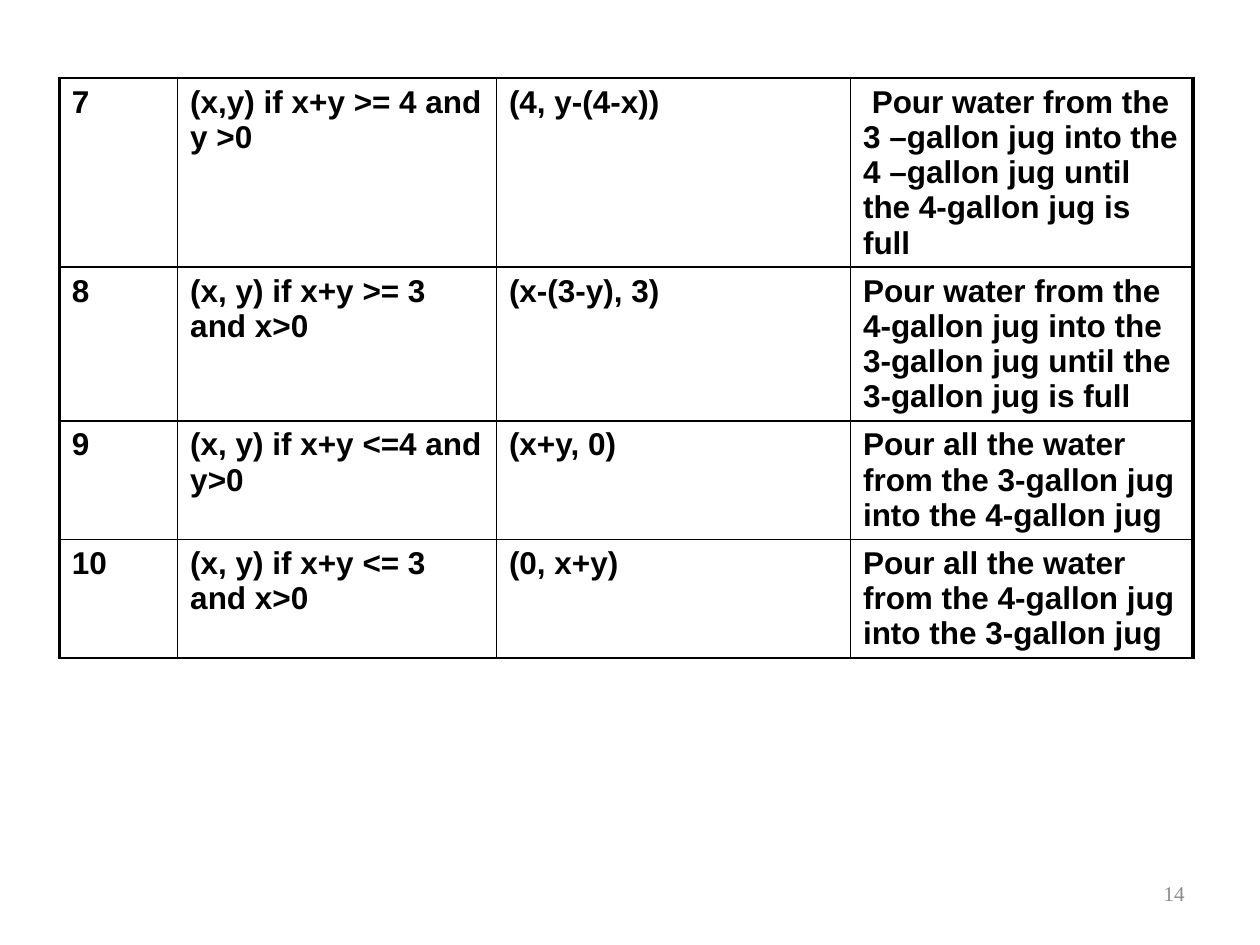
from pptx import Presentation
from pptx import util as u
from pptx.dml.color import RGBColor
from pptx.enum import text as t
from pptx.oxml.ns import qn
from lxml import etree


def write(frame, words, size=18, font="Arial", color="000000", bold=False,
          align=t.PP_ALIGN.LEFT, before=None):
    para = frame.paragraphs[0]
    para.alignment = align
    if before:
        space = etree.SubElement(para._p.get_or_add_pPr(), qn("a:spcBef"))
        etree.SubElement(space, qn("a:spcPct"), val=str(before * 1000))
    run = para.add_run()
    run.text = words
    run.font.size = u.Pt(size)
    run.font.name = font
    run.font.bold = bold
    run.font.color.rgb = RGBColor.from_string(color)


def edge(cell, side, width, color="000000"):
    line = etree.SubElement(cell._tc.get_or_add_tcPr(), qn("a:ln" + side),
                            w=str(u.Pt(width)))
    fill = etree.SubElement(line, qn("a:solidFill"))
    etree.SubElement(fill, qn("a:srgbClr"), val=color)


deck = Presentation()
deck.slide_width, deck.slide_height = u.Inches(10), u.Inches(7.5)
slide = deck.slides.add_slide(deck.slide_layouts[6])

# Rules of the water jug problem
rules = [
    ("7", "(x,y) if x+y >= 4 and y >0", "(4, y-(4-x))",
     " Pour water from the 3 –gallon jug into the 4 –gallon jug until "
     "the 4-gallon jug is full"),
    ("8", "(x, y) if x+y >= 3 and x>0", "(x-(3-y), 3)",
     "Pour water from the 4-gallon jug into the 3-gallon jug until "
     "the 3-gallon jug is full"),
    ("9", "(x, y) if x+y <=4 and y>0", "(x+y, 0)",
     "Pour all the water from the 3-gallon jug into the 4-gallon jug"),
    ("10", "(x, y) if x+y <= 3 and x>0", "(0, x+y)",
     "Pour all the water from the 4-gallon jug into the 3-gallon jug"),
]
widths = [0.94, 2.53, 2.81, 2.72]
heights = [1.5, 1.22, 0.94, 0.94]

# Table grid
table = slide.shapes.add_table(
    len(rules), len(widths), u.Inches(0.47), u.Inches(0.62),
    u.Inches(sum(widths)), u.Inches(sum(heights))).table
table.first_row = table.horz_banding = False
for col, width in zip(table.columns, widths):
    col.width = u.Inches(width)
for row, height in zip(table.rows, heights):
    row.height = u.Inches(height)

# Cells: thin grid with thick outer sides
last = len(widths) - 1
for r, rule in enumerate(rules):
    for c, words in enumerate(rule):
        cell = table.cell(r, c)
        write(cell.text_frame, words, bold=True, before=20)
        edge(cell, "L", 2.25 if c == 0 else 1)
        edge(cell, "R", 2.25 if c == last else 1)
        edge(cell, "T", 1)
        edge(cell, "B", 1)
        cell.fill.background()

# Page number
page = slide.shapes.add_textbox(u.Inches(7.17), u.Inches(6.83),
                                u.Inches(2.33), u.Inches(0.52)).text_frame
page.word_wrap = True
page.vertical_anchor = t.MSO_ANCHOR.MIDDLE
write(page, "14", size=12, font="Times New Roman", color="8C8C8C",
      align=t.PP_ALIGN.RIGHT)

deck.save("out.pptx")
